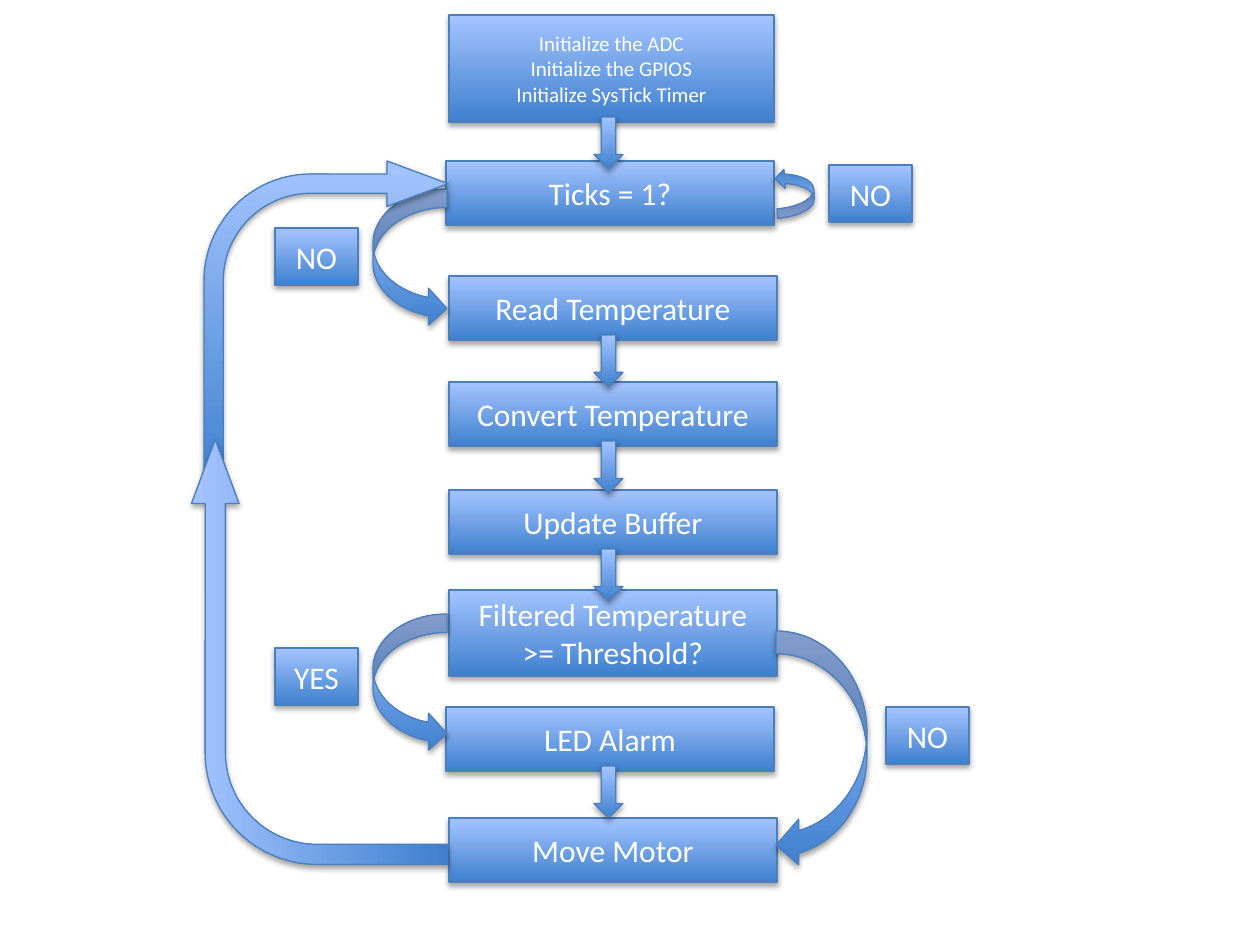
import pptx
import pptx.util
import pptx.dml.color
import pptx.enum.shapes
import pptx.enum.text
import lxml.etree

RGB = pptx.dml.color.RGBColor
KIND = pptx.enum.shapes.MSO_SHAPE
DARK = RGB(0x3F, 0x80, 0xCE)
LIGHT = RGB(0xA4, 0xC4, 0xFF)
EDGE = RGB(0x4B, 0x7E, 0xBC)
WHITE = RGB(0xFF, 0xFF, 0xFF)

WIDE, TALL = 328, 64
STEPS = [
    (["Initialize the ADC", "Initialize the GPIOS", "Initialize SysTick Timer"],
     (449, 15, 325, 107), 12, True),
    (["Ticks = 1?"], (446, 161, WIDE, TALL), 18, False),
    (["Read Temperature"], (449, 276, WIDE, TALL), 18, True),
    (["Convert Temperature"], (449, 382, WIDE, TALL), 18, True),
    (["Update Buffer"], (449, 490, WIDE, TALL), 18, True),
    (["Filtered Temperature >= Threshold?"], (449, 590, WIDE, 86), 18, False),
    (["LED Alarm"], (446, 707, WIDE, TALL), 18, True),
    (["Move Motor"], (449, 818, WIDE, TALL), 18, False),
]
TAGS = [("NO", 829, 165), ("NO", 886, 707), ("YES", 275, 648), ("NO", 275, 228)]
TAG_SIZE = (83, 57)
CURVES = [
    (KIND.CURVED_RIGHT_ARROW, (373, 614, 74, 138), 0),
    (KIND.CURVED_RIGHT_ARROW, (776, 168, 38, 49), 176.2),
    (KIND.CURVED_LEFT_ARROW, (776, 631, 91, 237), 0),
    (KIND.CURVED_RIGHT_ARROW, (373, 189, 74, 138), 0),
]
BENDS = [((204, 161, 244, 329), 0), ((107, 524, 425, 256), 270)]
BEND_ADJ = (0.079, 0.093, 0.25, 0.438)
DOWN_X, DOWN_W, DOWN_H, LAP = 594, 29, 52, 5

FONT = {"name": "Calibri"}
NS = "http://schemas.openxmlformats.org/drawingml/2006/main"
SHADE = (
    f'<a:outerShdw xmlns:a="{NS}" blurRad="40000" dist="23000" dir="5400000" '
    'rotWithShape="0"><a:srgbClr val="000000"><a:alpha val="35000"/>'
    '</a:srgbClr></a:outerShdw>'
)


def emu(px):
    return round(px * 914400 / 126)


def draw(slide, kind, box, turn=0, adj=()):
    shape = slide.shapes.add_shape(kind, *map(emu, box))
    shape.rotation = turn
    for i, value in enumerate(adj):
        shape.adjustments[i] = value
    shape.fill.gradient()
    shape.fill.gradient_angle = 90
    for stop, place, tone in zip(shape.fill.gradient_stops, (0, 1), (DARK, LIGHT)):
        stop.position = place
        stop.color.rgb = tone
    shape.line.color.rgb = EDGE
    shape.line.width = pptx.util.Pt(0.75)
    shape.shadow.inherit = False
    effect = shape._element.spPr.find(f"{{{NS}}}effectLst")
    effect.append(lxml.etree.fromstring(SHADE))
    return shape


def label(slide, lines, box, size):
    frame = draw(slide, KIND.RECTANGLE, box).text_frame
    frame.word_wrap = True
    frame.vertical_anchor = pptx.enum.text.MSO_ANCHOR.MIDDLE
    frame.text = "\n".join(lines)
    for para in frame.paragraphs:
        para.alignment = pptx.enum.text.PP_ALIGN.CENTER
        font = para.runs[0].font
        for key, value in {**FONT, "size": pptx.util.Pt(size)}.items():
            setattr(font, key, value)
        font.color.rgb = WHITE


def main():
    deck = pptx.Presentation()
    deck.slide_width, deck.slide_height = emu(1260), emu(945)
    slide = deck.slides.add_slide(deck.slide_layouts[6])
    for lines, box, size, _ in STEPS:
        label(slide, lines, box, size)
    for text, left, top in TAGS:
        label(slide, [text], (left, top, *TAG_SIZE), 18)
    for kind, box, turn in CURVES:
        draw(slide, kind, box, turn)
    for _, (left, top, wide, tall), _, down in STEPS:
        if down:
            draw(slide, KIND.DOWN_ARROW, (DOWN_X, top + tall - LAP, DOWN_W, DOWN_H))
    for box, turn in BENDS:
        draw(slide, KIND.BENT_ARROW, box, turn, BEND_ADJ)
    deck.save("out.pptx")


if __name__ == "__main__":
    main()
